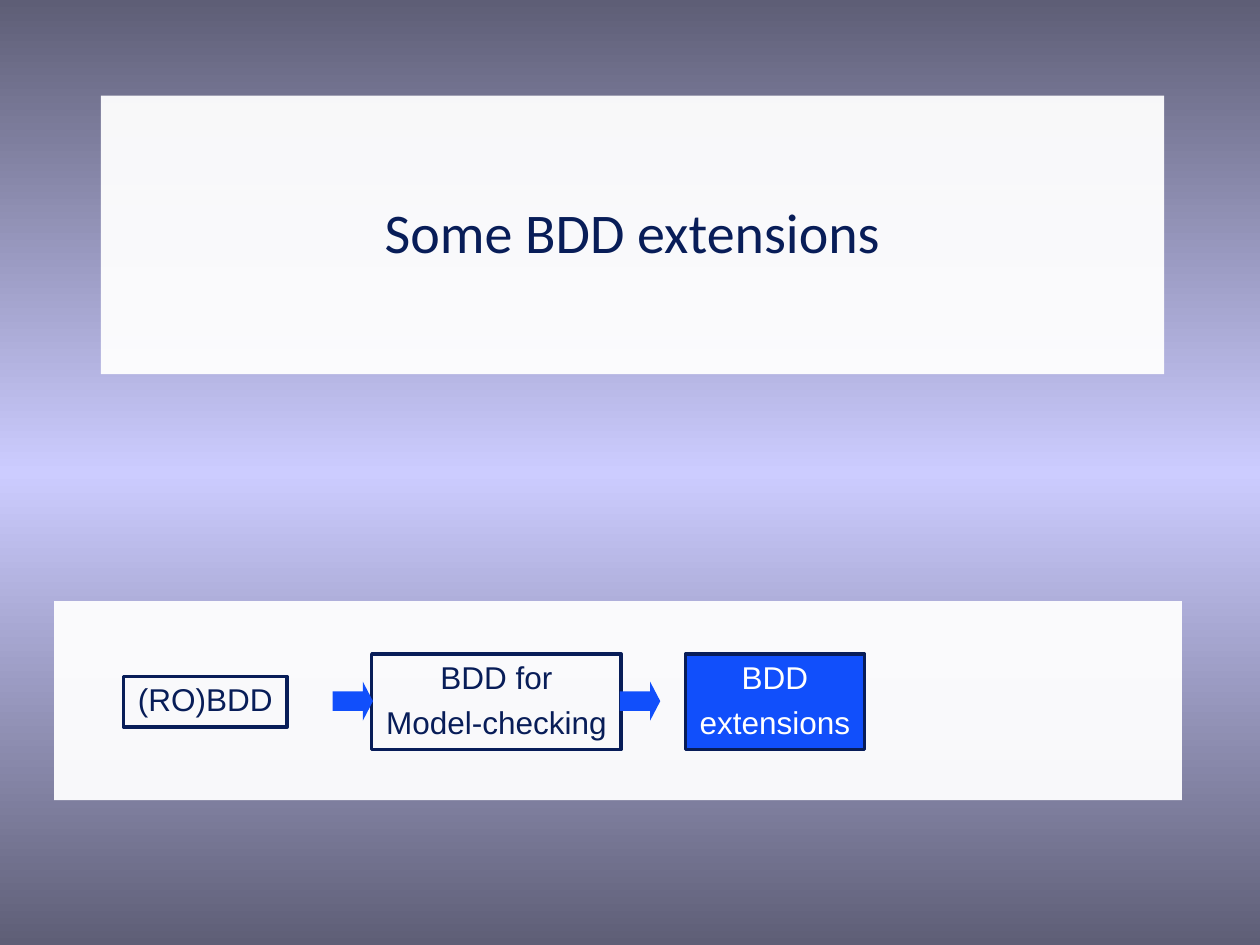
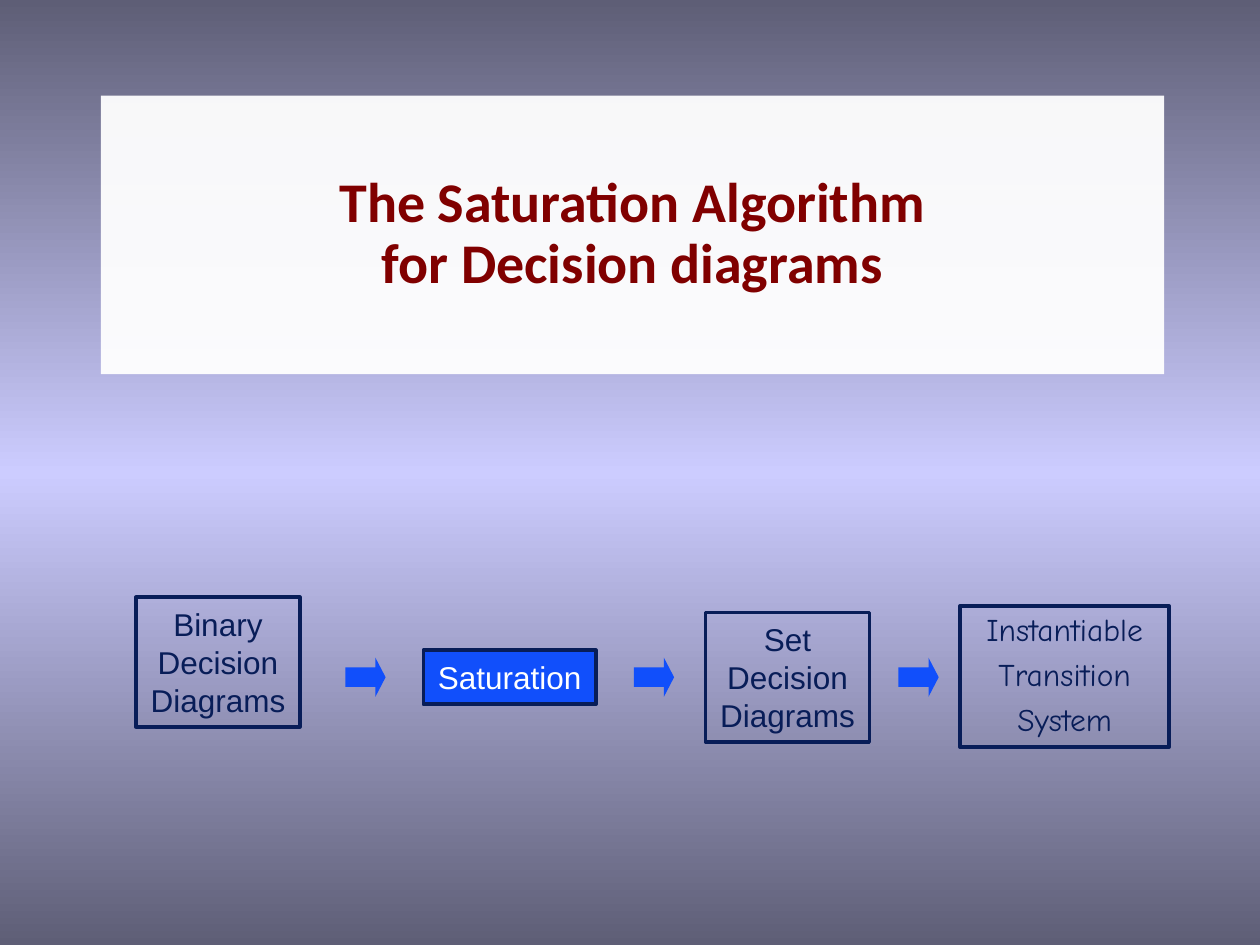
from copy import deepcopy

from pptx import Presentation
from pptx import util as u
from pptx.dml.color import RGBColor
from pptx.enum import shapes, text
from pptx.oxml.ns import qn
from lxml import etree

NAVY, BLUE, MAROON, WHITE = "081D58", "114FFB", "800000", "FFFFFF"
DUSK, LILAC = "5E5E76", "CCCCFF"
ARROW_SIZE = (3.2, 3.1)


def rgb(hex_colour):
    return RGBColor.from_string(hex_colour)


def paint_panel(panel):
    """Fill with white at 95% opacity."""
    panel.fill.solid()
    panel.fill.fore_color.rgb = rgb(WHITE)
    white = panel.element.spPr.find(f"{qn('a:solidFill')}/{qn('a:srgbClr')}")
    etree.SubElement(white, qn("a:alpha"), val="95000")


# Step: label, left, middle, width, height, font, loose line spacing, current.
# Lengths are cells of a grid of 100 columns and 75 rows.
decks = [
    dict(
        title="Some BDD extensions", colour=NAVY, bold=False,
        band=(4.3, 47.7, 89.5, 15.8), arrow_middle=55.65, arrows=(26.4, 49.2),
        steps=[
            ("BDD\nextensions", 54.4, 55.7, 14.2, 7.6, "Arial", True, True),
            ("BDD for\nModel-checking", 29.5, 55.7, 19.8, 7.6, "Arial", True, False),
            ("(RO)BDD", 9.8, 55.7, 13, 4, "Arial", True, False),
        ],
    ),
    dict(
        title="The Saturation Algorithm\vfor Decision diagrams", colour=MAROON, bold=True,
        band=None, arrow_middle=53.75, arrows=(27.4, 50.3, 71.3),
        steps=[
            ("Set\nDecision\nDiagrams", 56, 53.75, 13, 10.3, "Arial", False, False),
            ("Saturation", 33.6, 53.75, 13.7, 4.3, "Arial", False, True),
            ("Binary\nDecision\nDiagrams", 10.8, 52.55, 13, 10.3, "Arial", False, False),
            ("Instantiable\nTransition\nSystem", 76.2, 53.7, 16.6, 11.2, "Comic Neue", True, False),
        ],
    ),
]

prs = Presentation()
prs.slide_width, prs.slide_height = u.Inches(10), u.Inches(7.5)
cell = prs.slide_width / 100

backdrop = prs.slide_master.background.fill
backdrop.gradient()
backdrop.gradient_angle = 270
stop_list = prs.slide_master.element.find(f".//{qn('a:gsLst')}")
stop_list.append(deepcopy(stop_list[0]))
for stop, position, colour in zip(backdrop.gradient_stops, (0, 0.5, 1), (DUSK, LILAC, DUSK)):
    stop.position = position
    stop.color.rgb = rgb(colour)


def add_block(slide, kind, left, top, width, height):
    """Add a plain shape, without fill, line or shadow, placed in grid cells."""
    block = slide.shapes.add_shape(kind, *(round(n * cell) for n in (left, top, width, height)))
    block.shadow.inherit = False
    block.fill.background()
    block.line.fill.background()
    return block


for deck in decks:
    slide = prs.slides.add_slide(prs.slide_layouts[5])

    title = slide.shapes.title
    title.left, title.top, title.width, title.height = (
        round(n * cell) for n in (8, 7.6, 84.4, 22.1))
    paint_panel(title)
    title.text_frame.text = deck["title"]
    title.text_frame.vertical_anchor = text.MSO_ANCHOR.MIDDLE
    heading = title.text_frame.paragraphs[0]
    heading.alignment = text.PP_ALIGN.CENTER
    heading.line_spacing = 0.9
    for run in heading.runs:
        run.font.name, run.font.size, run.font.bold = "Calibri", u.Pt(32), deck["bold"]
        run.font.color.rgb = rgb(deck["colour"])

    if deck["band"]:
        paint_panel(add_block(slide, shapes.MSO_SHAPE.RECTANGLE, *deck["band"]))

    for label, left, middle, width, height, font, loose, current in deck["steps"]:
        step = add_block(slide, shapes.MSO_SHAPE.RECTANGLE,
                         left, middle - height / 2, width, height)
        step.line.color.rgb = rgb(NAVY)
        step.line.width = u.Pt(2)
        if current:
            step.fill.solid()
            step.fill.fore_color.rgb = rgb(BLUE)
        frame = step.text_frame
        frame.text = label
        frame.word_wrap = False
        frame.vertical_anchor = text.MSO_ANCHOR.MIDDLE
        frame.auto_size = (text.MSO_AUTO_SIZE.NONE if current
                           else text.MSO_AUTO_SIZE.SHAPE_TO_FIT_TEXT)
        for line in frame.paragraphs:
            line.alignment = text.PP_ALIGN.CENTER
            if loose:
                line.line_spacing = 0.9
                line.space_before = u.Pt(6.2)
            for run in line.runs:
                run.font.name, run.font.size = font, u.Pt(18)
                run.font.color.rgb = rgb(WHITE if current else NAVY)

    for left in deck["arrows"]:
        arrow = add_block(slide, shapes.MSO_SHAPE.RIGHT_ARROW,
                          left, deck["arrow_middle"] - ARROW_SIZE[1] / 2, *ARROW_SIZE)
        arrow.adjustments[0], arrow.adjustments[1] = 0.5, 0.26
        arrow.fill.solid()
        arrow.fill.fore_color.rgb = rgb(BLUE)

prs.save("out.pptx")
